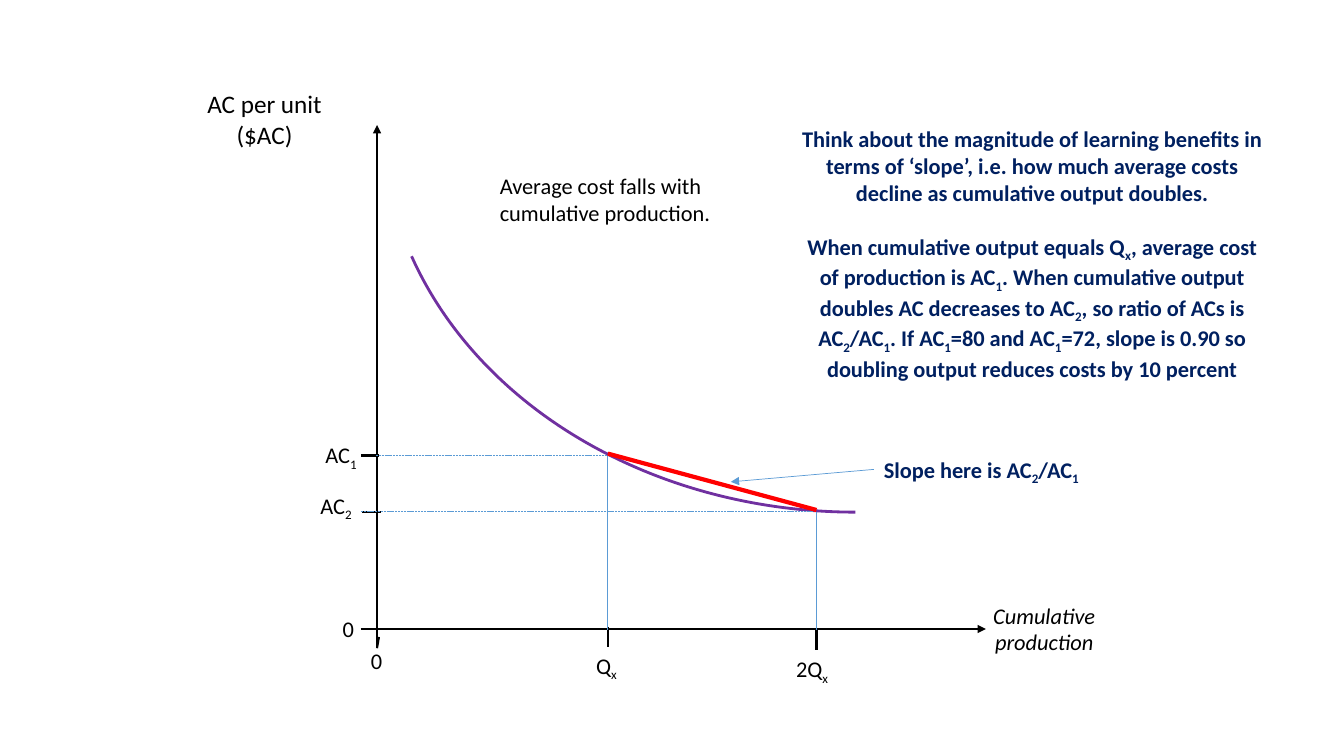
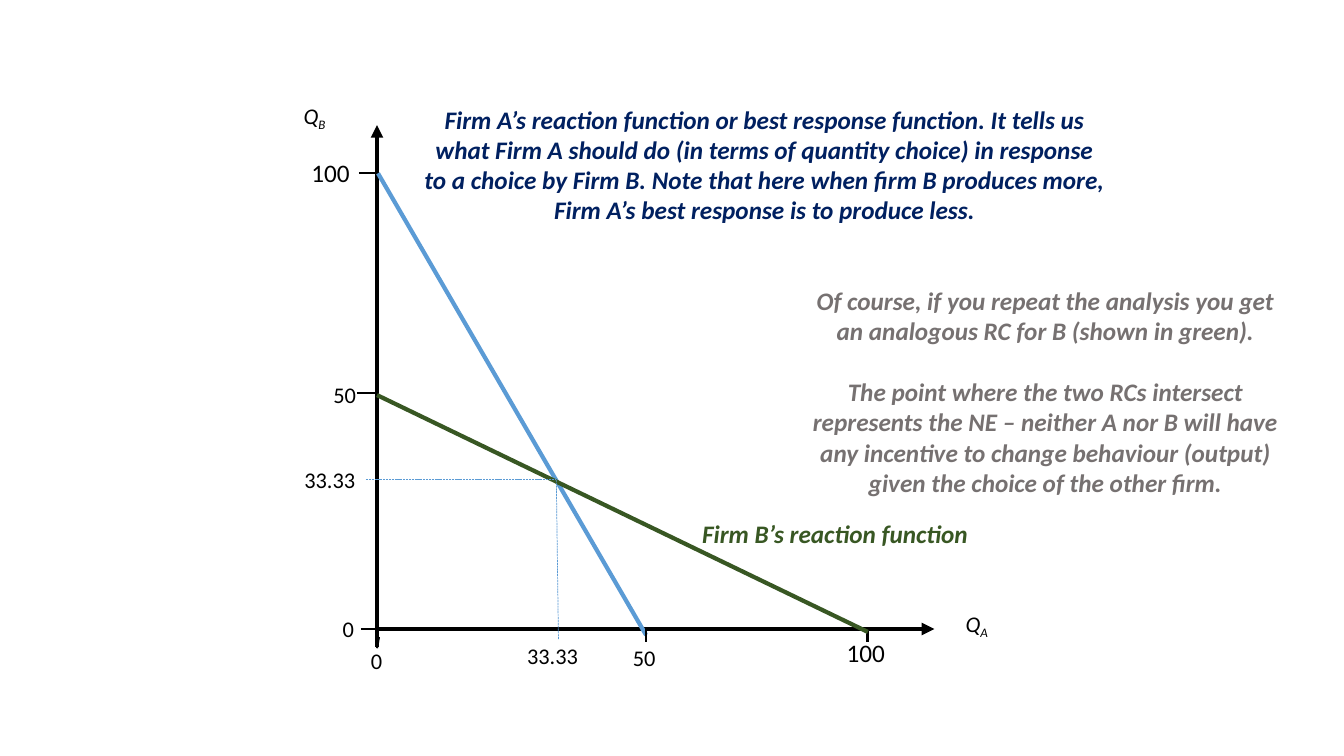
"""Build two economics slides: a learning curve and a pair of reaction functions."""
from dataclasses import dataclass
from typing import NamedTuple, Optional

from lxml import etree
from pptx import Presentation
from pptx.dml.color import RGBColor
from pptx.enum.dml import MSO_LINE
from pptx.enum.shapes import MSO_CONNECTOR, MSO_SHAPE
from pptx.enum.text import MSO_AUTO_SIZE, PP_ALIGN
from pptx.oxml.ns import qn
from pptx.slide import Slide
from pptx.util import Pt

STRAIGHT = MSO_CONNECTOR.STRAIGHT
ARC = MSO_SHAPE.ARC
DASH = MSO_LINE.SQUARE_DOT
GROW = MSO_AUTO_SIZE.SHAPE_TO_FIT_TEXT
LEFT, CENTER = PP_ALIGN.LEFT, PP_ALIGN.CENTER
TOP, WEST, EAST = 0, 1, 3

FONT = "Calibri"
BLACK, NAVY, GREY = "000000", "002060", "767171"
BLUE, GREEN, RED, PURPLE = "5B9BD5", "385723", "FF0000", "7030A0"

AXIS_X, AXIS_Y = 269.3, 449.3
AXIS_TOP, AXIS_END = 89.3, 462.2
LOW, TALL = 26.6, 29
LEAD = 1.22


class Style(NamedTuple):
    size: float = 16
    color: str = BLACK
    bold: bool = False
    italic: bool = False
    align: PP_ALIGN = LEFT


class Pen(NamedTuple):
    color: str = BLACK
    width: float = 1.5
    dash: bool = False


@dataclass(frozen=True)
class Label:
    x: float
    y: float
    w: float
    h: float
    paras: tuple[tuple[str, ...], ...]
    style: Style


@dataclass(frozen=True)
class Rule:
    x1: float
    y1: float
    x2: float
    y2: float
    pen: Pen
    arrow: bool = False
    start: Optional[tuple[Label, int]] = None
    end: Optional[tuple[Label, int]] = None


PLAIN = Style()
BIG = Style(size=18)
NAME = Style(italic=True, align=CENTER)
TICK, MARK = Pen(), Pen(width=2)
THIN, GUIDE = Pen(BLUE, 0.5), Pen(BLUE, 0.5, True)


def note(color: str, size: float = 18, italic: bool = True) -> Style:
    return Style(size, color, True, italic, CENTER)


def one(x: float, y: float, w: float, h: float, style: Style, *runs: str) -> Label:
    return Label(x, y, w, h, (runs,), style)


ZERO = one(237.6, 436, 20.2, LOW, PLAIN, "0")
BASE = one(257.8, 458.6, 31, LOW, PLAIN, "0")
QX = one(418.7, 462.2, 31, LOW, PLAIN, "Q", "x")
SLOPE = one(624.2, 322, 231.1, LOW, Style(color=NAVY, bold=True),
            "Slope here is AC", "2", "/AC", "1")
THIRD = one(210.3, 329.4, 51.1, LOW, PLAIN, "33.33")

COST_TEXT = (
    one(139.7, 59.8, 98.6, 51, BIG._replace(align=CENTER), "AC per unit ($AC)"),
    one(561.6, 464.4, 40.3, 46, PLAIN, "2Q", "x"),
    one(221.8, 347.8, 43.9, LOW, PLAIN, "AC", "2"),
    one(225.4, 311.8, 43.9, LOW, PLAIN, "AC", "1"),
    one(349.9, 119.5, 231.1, 46, PLAIN,
        "Average cost falls with cumulative production."),
    one(684.7, 426.2, 122.4, 46, NAME, "Cumulative production"),
    QX,
    SLOPE,
    Label(561.6, 85.7, 351.4, 181.4, (
        ("Think about the magnitude of learning benefits in terms of ‘slope’, "
         "i.e. how much average costs decline as cumulative output doubles.",),
        ("When cumulative output equals Q", "x",
         ", average cost of production is AC", "1",
         ". When cumulative output doubles AC decreases to AC", "2",
         ", so ratio of ACs is AC", "2", "/AC", "1", ". If AC", "1",
         "=80 and AC", "1",
         "=72, slope is 0.90 so doubling output reduces costs by 10 percent"),
    ), note(NAVY, 16, False)),
)

COST_RULES = (
    Rule(583.2, 450, 583.2, 464.4, TICK),
    Rule(434.2, 447.8, 434.2, 462.2, TICK, end=(QX, TOP)),
    Rule(258.5, 365.8, 272.2, 365.8, TICK),
    Rule(257.8, 325.4, 270.7, 325.4, TICK),
    Rule(268.6, 325.4, 434.2, 325.4, GUIDE),
    Rule(257.8, 365, 580.3, 365, GUIDE),
    Rule(583.2, 450, 583.2, 365.8, THIN),
    Rule(434.2, 450, 434.2, 325.4, THIN),
    Rule(624.2, 335.3, 522, 344.2, THIN, arrow=True, start=(SLOPE, WEST)),
    Rule(434.2, 324, 583.2, 364.3, Pen(RED, 3)),
)

FIRM_TEXT = (
    one(215.3, 108.7, 44.6, TALL, BIG, "100"),
    one(597.6, 451.4, 44.6, TALL, BIG, "100"),
    one(231.1, 268.6, 38.2, LOW, PLAIN, "50"),
    one(445, 456.5, 32.4, LOW, PLAIN, "50"),
    one(369.4, 455, 56.2, LOW, PLAIN, "33.33"),
    THIRD,
    one(679, 432, 37.4, LOW, NAME, "Q", "A"),
    one(205.9, 69.1, 37.4, LOW, NAME, "Q", "B"),
    one(295.2, 70.6, 501.8, 94.3, note(NAVY),
        "Firm A’s reaction function or best response function. It tells us what "
        "Firm A should do (in terms of quantity choice) in response to a choice "
        "by Firm B. Note that here when firm B produces more, Firm A’s best "
        "response is to produce less."),
    Label(571, 200.2, 351.4, 159.8, (
        ("Of course, if you repeat the analysis you get an analogous RC for B "
         "(shown in green).",),
        ("The point where the two RCs intersect represents the NE – neither A nor "
         "B will have any incentive to change behaviour (output) given the choice "
         "of the other firm.",),
    ), note(GREY)),
    one(468, 366.5, 257, TALL, note(GREEN), "Firm B’s reaction function"),
)

FIRM_RULES = (
    Rule(256.3, 123.8, 269.3, 123.8, TICK),
    Rule(254.9, 280.8, 267.8, 280.8, TICK),
    Rule(461.5, 453.6, 270, 123.8, Pen(BLUE, 3)),
    Rule(619.9, 448.6, 619.9, 458.6, MARK),
    Rule(461.5, 448.6, 461.5, 458.6, MARK),
    Rule(619.9, 451.4, 269.3, 282.2, Pen(GREEN, 3)),
    Rule(398.9, 456.5, 397.4, 342.7, GUIDE),
    Rule(261.4, 342.7, 397.4, 342.7, GUIDE, start=(THIRD, EAST)),
)


def ink(code: str) -> RGBColor:
    return RGBColor.from_string(code)


def write(slide: Slide, label: Label):
    box = slide.shapes.add_textbox(Pt(label.x), Pt(label.y), Pt(label.w), Pt(label.h))
    frame = box.text_frame
    frame.word_wrap = True
    frame.auto_size = GROW
    style = label.style
    for row, runs in enumerate(label.paras):
        para = frame.add_paragraph() if row else frame.paragraphs[0]
        para.alignment = style.align
        if row:
            para.space_before = Pt(round(style.size * LEAD, 1))
        for pos, text in enumerate(runs):
            run = para.add_run()
            run.text = text
            font = run.font
            font.name, font.size = FONT, Pt(style.size)
            font.bold, font.italic = style.bold, style.italic
            font.color.rgb = ink(style.color)
            if pos % 2:
                run._r.get_or_add_rPr().set("baseline", "-25000")
    return box


def stroke(shape, pen: Pen) -> None:
    shape.line.color.rgb = ink(pen.color)
    shape.line.width = Pt(pen.width)
    if pen.dash:
        shape.line.dash_style = DASH


def rule(slide: Slide, item: Rule, boxes: dict) -> None:
    line = slide.shapes.add_connector(
        STRAIGHT, Pt(item.x1), Pt(item.y1), Pt(item.x2), Pt(item.y2))
    stroke(line, item.pen)
    props = line._element.spPr
    if item.arrow:
        etree.SubElement(props.get_or_add_ln(), qn("a:tailEnd"), type="triangle")
    etree.SubElement(props, qn("a:effectLst"))
    if item.start:
        line.begin_connect(boxes[item.start[0]], item.start[1])
    if item.end:
        line.end_connect(boxes[item.end[0]], item.end[1])


def curve(slide: Slide) -> None:
    arc = slide.shapes.add_shape(ARC, Pt(272.9), Pt(-194.4), Pt(676.1), Pt(560.2))
    arc.rotation = 180
    arc.adjustments[0] = 162
    arc.adjustments[1] = 205.76
    arc.shadow.inherit = False
    arc.fill.background()
    stroke(arc, Pen(PURPLE, 2))


def axes(width: float, left: float, right: float) -> tuple[Rule, ...]:
    pen = Pen(width=width)
    return (
        Rule(AXIS_X, AXIS_END, AXIS_X, AXIS_TOP, pen, arrow=True),
        Rule(left, AXIS_Y, right, AXIS_Y, pen, arrow=True),
        Rule(AXIS_X, 463, 270.7, 455, TICK),
        Rule(257.8, AXIS_Y, 270.7, AXIS_Y, TICK, start=(ZERO, EAST)),
    )


def graph(slide: Slide, labels: tuple[Label, ...], rules: tuple[Rule, ...]) -> None:
    boxes = {label: write(slide, label) for label in (ZERO, BASE) + labels}
    for item in rules:
        rule(slide, item, boxes)


def main() -> None:
    deck = Presentation()
    deck.slide_width, deck.slide_height = Pt(960), Pt(540)
    blank = deck.slide_layouts[6]
    cost = deck.slides.add_slide(blank)
    curve(cost)
    graph(cost, COST_TEXT, axes(1.5, 257.8, 704.2) + COST_RULES)
    firm = deck.slides.add_slide(blank)
    graph(firm, FIRM_TEXT, axes(3, 267.8, 667.4) + FIRM_RULES)
    deck.save("out.pptx")


if __name__ == "__main__":
    main()
